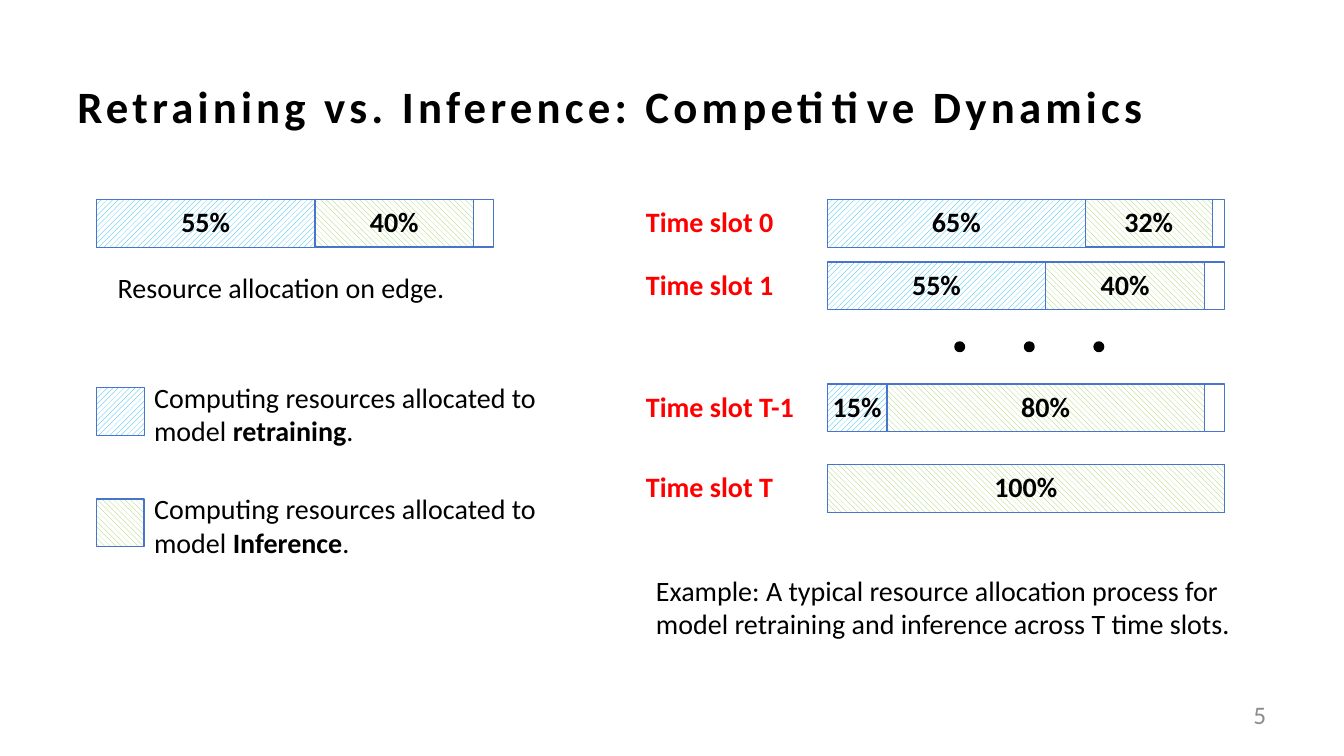
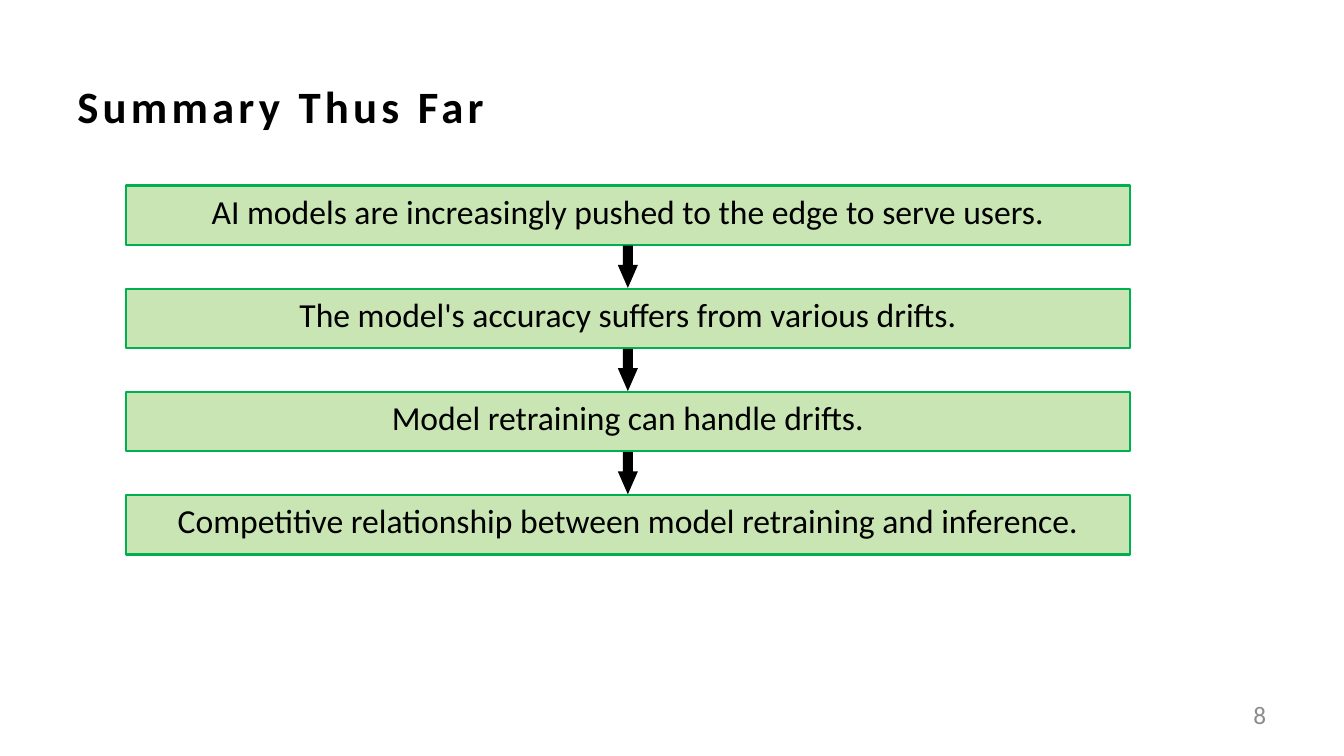
from pptx import Presentation
from pptx.dml.color import RGBColor
from pptx.enum.dml import MSO_PATTERN
from pptx.enum.shapes import MSO_SHAPE
from pptx.enum.text import MSO_ANCHOR, PP_ALIGN
from pptx.util import Pt

BLACK = RGBColor(0x00, 0x00, 0x00)
WHITE = RGBColor(0xFF, 0xFF, 0xFF)
RED = RGBColor(0xFF, 0x00, 0x00)
GREY = RGBColor(0x8C, 0x8C, 0x8C)
OUTLINE = RGBColor(0x48, 0x74, 0xCB)
CYAN = RGBColor(0x00, 0xB0, 0xF0)
LIME = RGBColor(0x92, 0xD0, 0x50)
PALE_GREEN = RGBColor(0xC8, 0xE5, 0xB3)
GREEN = RGBColor(0x00, 0xB0, 0x50)

FONT = "Calibri"
RETRAINING = (MSO_PATTERN.WIDE_UPWARD_DIAGONAL, CYAN, 0.75)
INFERENCE = (MSO_PATTERN.WIDE_DOWNWARD_DIAGONAL, LIME, 1)
BAR_W, BAR_H = 283.5, 34


def style_run(r, size, color=BLACK, bold=False):
    """Apply the deck's font to one run."""
    r.font.name = FONT
    r.font.size = Pt(size)
    r.font.color.rgb = color
    r.font.bold = bold


def set_text(tf, text, size, color=BLACK, bold=False, align=PP_ALIGN.LEFT,
             anchor=MSO_ANCHOR.TOP):
    """Fill a text frame with one formatted paragraph."""
    tf.text = text
    tf.vertical_anchor = anchor
    p = tf.paragraphs[0]
    p.alignment = align
    style_run(p.runs[0], size, color, bold)


def add_box(s, x, y, w, h):
    """Add an empty wrapping text box and return its text frame."""
    tf = s.shapes.add_textbox(Pt(x), Pt(y), Pt(w), Pt(h)).text_frame
    tf.word_wrap = True
    return tf


def add_shape(s, kind, x, y, w, h, fill=None, line=None, width=1):
    """Add a flat shape with optional solid fill and outline."""
    sp = s.shapes.add_shape(kind, Pt(x), Pt(y), Pt(w), Pt(h))
    sp.shadow.inherit = False
    if fill is None:
        sp.fill.background()
    else:
        sp.fill.solid()
        sp.fill.fore_color.rgb = fill
    if line is None:
        sp.line.fill.background()
    else:
        sp.line.color.rgb = line
        sp.line.width = Pt(width)
    return sp


def add_hatched(s, x, y, w, h, hatch):
    """Add a rectangle with one of the two resource hatches."""
    pattern, color, width = hatch
    sp = add_shape(s, MSO_SHAPE.RECTANGLE, x, y, w, h, None, OUTLINE, width)
    sp.fill.patterned()
    sp.fill.pattern = pattern
    sp.fill.fore_color.rgb = color
    sp.fill.back_color.rgb = WHITE
    return sp


def add_bar(s, x, y, retraining, inference):
    """Draw an allocation bar whose segments follow the percentages."""
    add_shape(s, MSO_SHAPE.RECTANGLE, x, y, BAR_W, BAR_H, None, OUTLINE)
    for share, hatch in ((retraining, RETRAINING), (inference, INFERENCE)):
        if share:
            w = BAR_W * share / 100
            tf = add_hatched(s, x, y, w, BAR_H, hatch).text_frame
            tf.margin_left = tf.margin_right = 0
            tf.word_wrap = False
            set_text(tf, f"{share}%", 20, bold=True, align=PP_ALIGN.CENTER)
            x += w


def add_legend(s, x, y, hatch, name):
    """Place a hatch swatch with its explanation to the right."""
    add_hatched(s, x, y, BAR_H, BAR_H, hatch)
    p = add_box(s, x + BAR_H, y - 9, 304, 55.5).paragraphs[0]
    parts = (("Computing resources allocated to model ", False),
             (name, True), (".", False))
    for text, bold in parts:
        r = p.add_run()
        r.text = text
        style_run(r, 20, bold=bold)


def add_edge_panel(s, x, y):
    """Place the single edge bar, its caption and the legend."""
    add_bar(s, x, y, 55, 40)
    set_text(add_box(s, x + 8, y + 47.5, 257, 31.5),
             "Resource allocation on edge.", 20)
    add_legend(s, x, y + 134.5, RETRAINING, "retraining")
    add_legend(s, x, y + 214, INFERENCE, "Inference")


def add_time_panel(s, x, y):
    """Place the labelled time slot bars, the dots and the caption."""
    bar_x = x + 136.7
    slots = (("0", 0, 65, 32), ("1", 44.7, 55, 40),
             ("T-1", 131.8, 15, 80), ("T", 189.5, 0, 100))
    for name, dy, retraining, inference in slots:
        set_text(add_box(s, x, y + dy, 127.5, BAR_H),
                 f"Time slot {name}", 20, RED, True)
        add_bar(s, bar_x, y + dy, retraining, inference)
    for i in range(3):
        add_shape(s, MSO_SHAPE.OVAL, bar_x + 91.6 + i * 49.7, y + 102.3,
                  5.8, 5.8, BLACK, BLACK, 2)
    set_text(add_box(s, x + 7.2, y + 263.5, 432, 55.5),
             "Example: A typical resource allocation process for model "
             "retraining and inference across T time slots.", 20)


def add_flow(s, x, y, w, h, pitch, steps):
    """Stack boxes at an equal pitch with arrows filling the gaps."""
    arrow_w = 14.4
    for i, step in enumerate(steps):
        top = y + i * pitch
        sp = add_shape(s, MSO_SHAPE.RECTANGLE, x, top, w, h,
                       PALE_GREEN, GREEN, 1.5)
        set_text(sp.text_frame, step, 24, align=PP_ALIGN.CENTER)
        if i:
            arrow = add_shape(s, MSO_SHAPE.DOWN_ARROW, x + (w - arrow_w) / 2,
                              top - pitch + h + 0.5, arrow_w, pitch - h - 1,
                              BLACK)
            arrow.adjustments[1] = 1.14


def add_slide(prs, title, number):
    """Add a slide with the shared title style and page number."""
    s = prs.slides.add_slide(prs.slide_layouts[5])
    sp = s.shapes.title
    sp.left, sp.top, sp.width, sp.height = Pt(48), Pt(48), Pt(864), Pt(55.5)
    set_text(sp.text_frame, title, 32, bold=True, anchor=MSO_ANCHOR.MIDDLE)
    r = sp.text_frame.paragraphs[0].runs[0]
    r.font._element.set("spc", "300")
    set_text(add_box(s, 699, 497.5, 212.5, 25), str(number), 18, GREY,
             align=PP_ALIGN.RIGHT, anchor=MSO_ANCHOR.MIDDLE)
    return s


def build_dynamics(prs):
    """Build the slide comparing retraining and inference shares."""
    s = add_slide(prs, "Retraining vs. Inference: Competitive Dynamics", 5)
    add_edge_panel(s, 69, 142.5)
    add_time_panel(s, 454.3, 142.5)


def build_summary(prs):
    """Build the slide that chains the findings so far."""
    s = add_slide(prs, "Summary Thus Far", 8)
    add_flow(s, 90, 132.5, 717, 42.5, 73.7, (
        "AI models are increasingly pushed to the edge to serve users.",
        "The model's accuracy suffers from various drifts.",
        "Model retraining can handle drifts.",
        "Competitive relationship between model retraining and inference.",
    ))


def main():
    """Build and save the deck."""
    prs = Presentation()
    prs.slide_width, prs.slide_height = Pt(960), Pt(540)
    build_dynamics(prs)
    build_summary(prs)
    prs.save("out.pptx")


if __name__ == "__main__":
    main()
